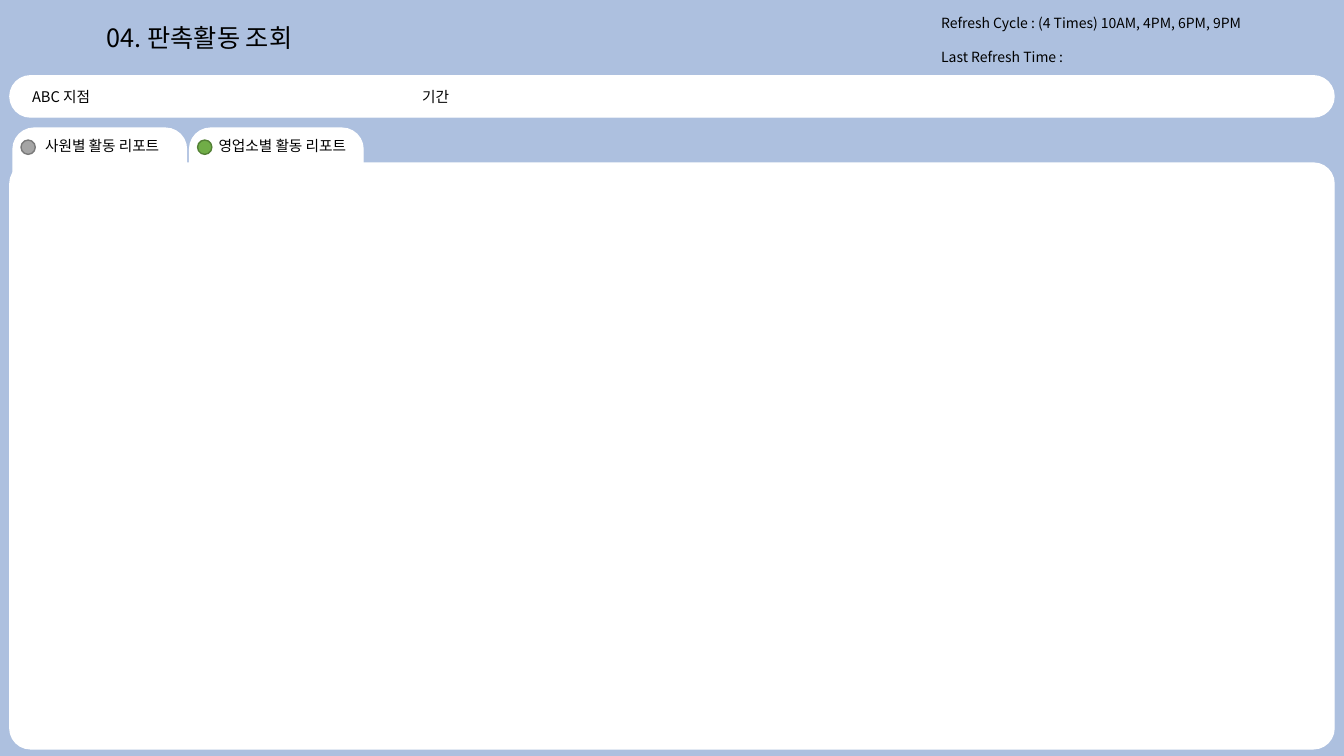
import pptx
import pptx.util
import pptx.dml.color
import pptx.enum.shapes
import pptx.enum.text
import pptx.oxml.ns
from lxml import etree

# Content; lengths in cm
TITLE = ("04. 판촉활동 조회", (2.44, 0.43, 10.49, 1.02))
STATUS = ["Refresh Cycle : (4 Times) 10AM, 4PM, 6PM, 9PM", "Last Refresh Time :"]
FILTERS = [("ABC 지점", 0.56), ("기간", 10.39)]
TABS = [  # label, label inset, label width, dot fill, dot line
    ("사원별 활동 리포트", 0.56, 3.71, "A5A5A5", "7A7A7A"),
    ("영업소별 활동 리포트", 0.48, 4.14, "70AD47", "538035"),
]

THEME = {
    "font": "Noto Sans CJK KR",
    "text": "000000", "back": "ADC0DF", "panel": "FFFFFF",
    "title": 18, "status": 10, "label": 10.5,
}

WIDE, HIGH = 33.87, 19.05
EDGE = 0.25
TAB_LEFT, TAB_TOP, TAB_STEP = 0.33, 3.23, 4.45
FORMS = pptx.enum.shapes.MSO_SHAPE


def place(box):
    return [pptx.util.Cm(n) for n in box]


def color(code):
    return pptx.dml.color.RGBColor.from_string(code)


def draw(slide, form, box, fill, line, round_by=None):
    shape = slide.shapes.add_shape(form, *place(box))
    shape.shadow.inherit = False
    shape.fill.solid()
    shape.fill.fore_color.rgb = color(fill)
    shape.line.color.rgb = color(line)
    shape.line.width = pptx.util.Pt(1)
    if round_by is not None:
        shape.adjustments[0] = round_by


def write(shape, lines, size, gap=1):
    """Fill a text shape; gap is the line spacing after the first line."""
    frame = shape.text_frame
    look = {"word_wrap": True,
            "auto_size": pptx.enum.text.MSO_AUTO_SIZE.SHAPE_TO_FIT_TEXT,
            "vertical_anchor": pptx.enum.text.MSO_ANCHOR.TOP}
    for name, value in look.items():
        setattr(frame, name, value)
    for i, line in enumerate(lines):
        para = frame.paragraphs[0] if i == 0 else frame.add_paragraph()
        para.alignment = pptx.enum.text.PP_ALIGN.LEFT
        para.line_spacing = gap if i else 1.0
        run = para.add_run()
        run.text = line
        style = {"name": THEME["font"], "size": pptx.util.Pt(size)}
        for name, value in style.items():
            setattr(run.font, name, value)
        run.font.color.rgb = color(THEME["text"])
        east = etree.SubElement(run.font._element, pptx.oxml.ns.qn("a:ea"))
        east.set("typeface", THEME["font"])


def label(slide, text, box):
    write(slide.shapes.add_textbox(*place(box)), [text], THEME["label"])


def main():
    deck = pptx.Presentation()
    deck.slide_width, deck.slide_height = place((WIDE, HIGH))
    slide = deck.slides.add_slide(deck.slide_layouts[5])
    slide.background.fill.solid()
    slide.background.fill.fore_color.rgb = color(THEME["back"])
    white = THEME["panel"]
    span = WIDE - 2 * EDGE

    # Header
    head = slide.shapes.title
    text, box = TITLE
    head.left, head.top, head.width, head.height = place(box)
    write(head, [text], THEME["title"])
    note = slide.shapes.add_textbox(*place((23.47, 0.25, 10.13, 1.4)))
    write(note, STATUS, THEME["status"], 2.0)

    # Filter bar
    draw(slide, FORMS.ROUNDED_RECTANGLE, (EDGE, 1.91, span, 1.04), white, white, 0.5)
    for text, left in FILTERS:
        label(slide, text, (left, 2.08, 2.29, 0.71))

    # Tabs, whose lower ends run under the report panel
    for i, (text, inset, width, fill, line) in enumerate(TABS):
        left = TAB_LEFT + i * TAB_STEP
        draw(slide, FORMS.ROUNDED_RECTANGLE, (left, TAB_TOP, 4.37, 2.26),
             white, white, 0.234)
        label(slide, text, (left + inset, TAB_TOP + 0.1, width, 0.71))
        draw(slide, FORMS.OVAL, (left + 0.2, TAB_TOP + 0.3, 0.36, 0.36), fill, line)
    draw(slide, FORMS.ROUNDED_RECTANGLE, (EDGE, 4.11, span, 14.76), white, white, 0.035)

    deck.save("out.pptx")


if __name__ == "__main__":
    main()
